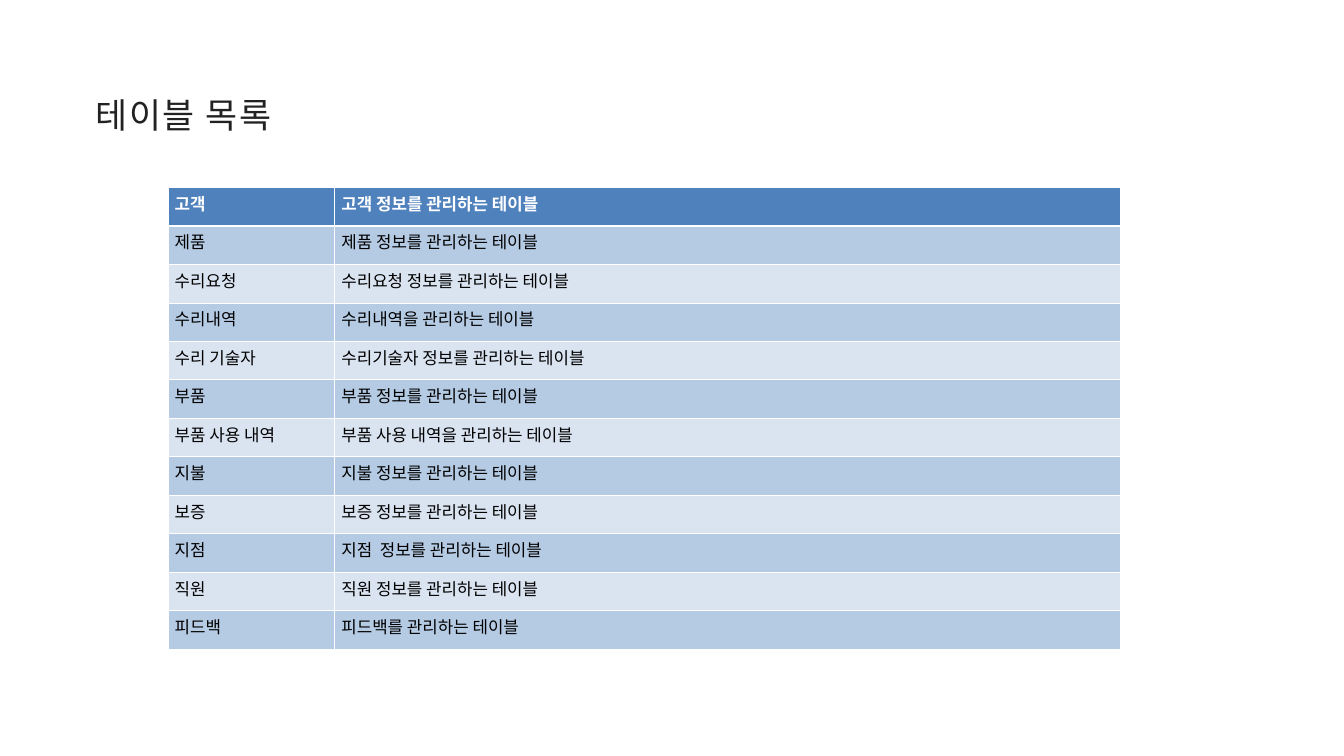
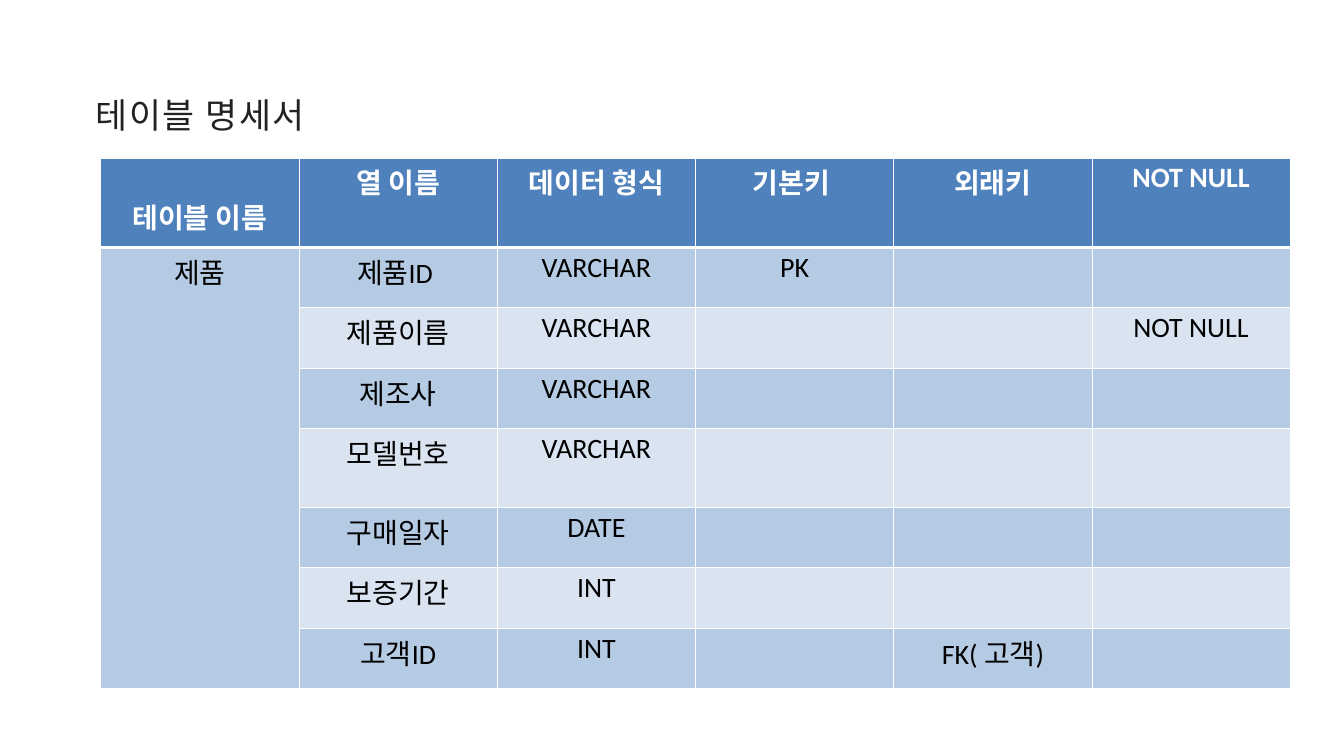
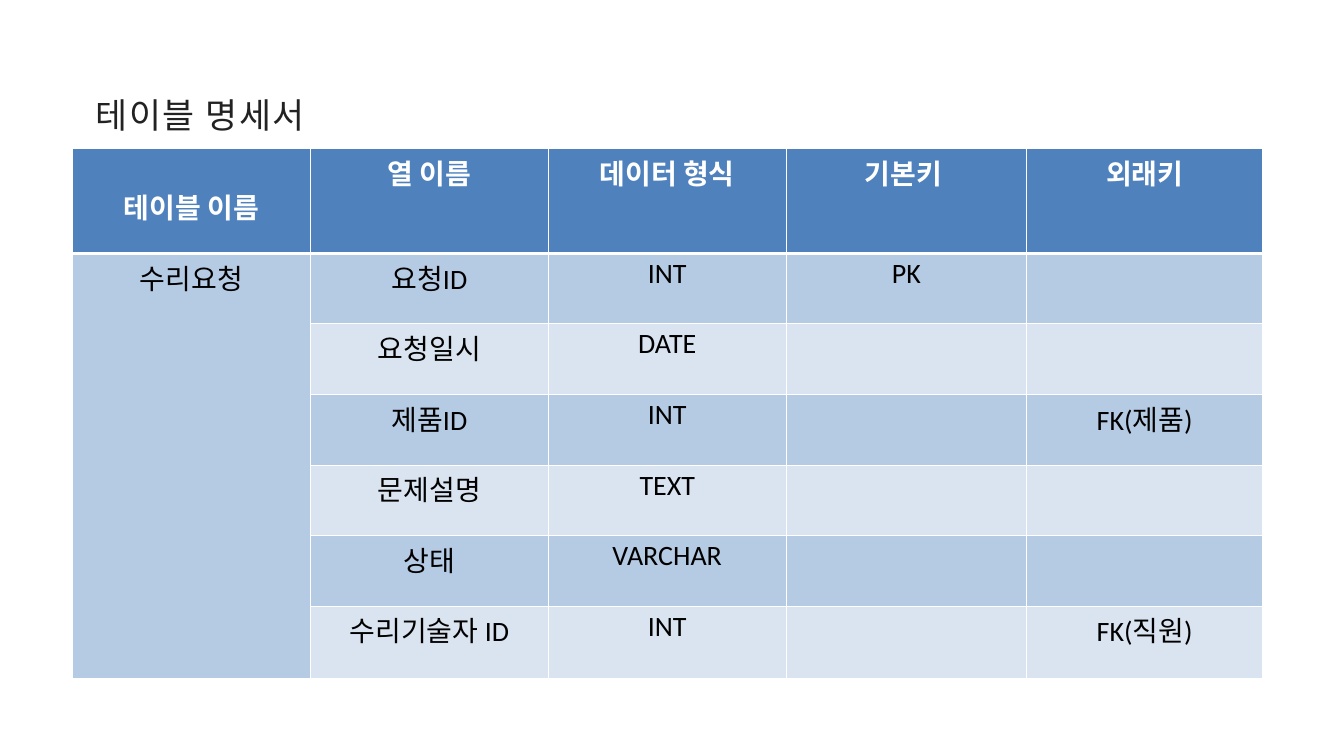
"""Build three slides that list and specify the tables of a repair-service database."""
from lxml import etree
from pptx import Presentation
from pptx import util as u
from pptx.dml.color import RGBColor
from pptx.enum import text
from pptx.oxml import ns

WHITE = RGBColor(0xFF, 0xFF, 0xFF)
BLACK = RGBColor(0x00, 0x00, 0x00)
TITLE_GREY = RGBColor(0x22, 0x22, 0x22)
HEADER_BLUE = RGBColor(0x4F, 0x81, 0xBD)
BANDS = (RGBColor(0xDA, 0xE4, 0xF1), RGBColor(0xB5, 0xCA, 0xE3))

TITLE_FORMAT = {"name": "Noto Sans CJK KR", "size": u.Pt(37.3)}
HEADER_FORMAT = {"name": "Calibri", "bold": True}
BODY_FORMAT = {"name": "Calibri", "bold": False}
LIST_SIZE, SPEC_SIZE = u.Pt(18), u.Pt(30)
THIN, THICK = u.Pt(1), u.Pt(3)
TABLE_NAME_TOP = u.Inches(0.56)

TABLE_LIST = [
    ("고객", "고객 정보를 관리하는 테이블"),
    ("제품", "제품 정보를 관리하는 테이블"),
    ("수리요청", "수리요청 정보를 관리하는 테이블"),
    ("수리내역", "수리내역을 관리하는 테이블"),
    ("수리 기술자", "수리기술자 정보를 관리하는 테이블"),
    ("부품", "부품 정보를 관리하는 테이블"),
    ("부품 사용 내역", "부품 사용 내역을 관리하는 테이블"),
    ("지불", "지불 정보를 관리하는 테이블"),
    ("보증", "보증 정보를 관리하는 테이블"),
    ("지점", "지점  정보를 관리하는 테이블"),
    ("직원", "직원 정보를 관리하는 테이블"),
    ("피드백", "피드백를 관리하는 테이블"),
]
SPEC_HEADER = ("테이블 이름", "열 이름", "데이터 형식", "기본키 ", "외래키")
PRODUCT_SPEC = [
    SPEC_HEADER + ("NOT NULL",),
    ("제품", "제품ID ", "VARCHAR", "PK", "", ""),
    ("", "제품이름", "VARCHAR", "", "", "NOT NULL"),
    ("", "제조사", "VARCHAR", "", "", ""),
    ("", "모델번호", "VARCHAR", "", "", ""),
    ("", "구매일자", "DATE", "", "", ""),
    ("", "보증기간", "INT", "", "", ""),
    ("", "고객ID", "INT", "", "FK( 고객)", ""),
]
REQUEST_SPEC = [
    SPEC_HEADER,
    ("수리요청", "요청ID", "INT", "PK", ""),
    ("", "요청일시", "DATE", "", ""),
    ("", "제품ID", "INT", "", "FK(제품)"),
    ("", "문제설명", "TEXT", "", ""),
    ("", "상태", "VARCHAR", "", ""),
    ("", "수리기술자 ID", "INT", "", "FK(직원)"),
]


def format_font(font, color, values):
    """Apply a colour and a dict of values to a font."""
    font.color.rgb = color
    for name, value in values.items():
        setattr(font, name, value)


def add_titled_slide(presentation, title):
    """Add a blank slide with the shared title style."""
    slide = presentation.slides.add_slide(presentation.slide_layouts[6])
    box = slide.shapes.add_textbox(
        u.Inches(1.42), u.Inches(1.29), u.Inches(4.25), u.Inches(0.72))
    frame = box.text_frame
    frame.word_wrap = True
    frame.auto_size = text.MSO_AUTO_SIZE.SHAPE_TO_FIT_TEXT
    for side in ("left", "top", "right", "bottom"):
        setattr(frame, f"margin_{side}", 0)
    paragraph = frame.paragraphs[0]
    paragraph.alignment = text.PP_ALIGN.JUSTIFY
    paragraph.line_spacing = u.Pt(51.9)
    run = paragraph.add_run()
    run.text = title
    format_font(run.font, TITLE_GREY, TITLE_FORMAT)
    run.font._element.set("spc", "170")
    return slide


def set_borders(cell, top, bottom):
    """Draw white borders around a cell."""
    properties = cell._tc.get_or_add_tcPr()
    for side, width in (("L", THIN), ("R", THIN), ("T", top), ("B", bottom)):
        line = etree.SubElement(properties, ns.qn(f"a:ln{side}"), w=str(width))
        fill = etree.SubElement(line, ns.qn("a:solidFill"))
        etree.SubElement(fill, ns.qn("a:srgbClr"), val=str(WHITE))


def fill_cell(cell, content, row_index, size, alignment):
    """Style one cell as header or banded body and write its text."""
    is_header = row_index == 0
    set_borders(cell, THICK if row_index == 1 else THIN, THICK if is_header else THIN)
    cell.fill.solid()
    cell.fill.fore_color.rgb = HEADER_BLUE if is_header else BANDS[row_index % 2]
    paragraph = cell.text_frame.paragraphs[0]
    paragraph.alignment = alignment
    if content:
        run = paragraph.add_run()
        run.text = content
        values = HEADER_FORMAT if is_header else BODY_FORMAT
        format_font(run.font, WHITE if is_header else BLACK, {**values, "size": size})


def add_banded_table(slide, left, top, widths, heights, rows, size, alignment=None):
    """Add a table with a blue header row and alternating body bands."""
    table = slide.shapes.add_table(
        len(rows), len(widths), u.Inches(left), u.Inches(top),
        u.Inches(sum(widths)), u.Inches(sum(heights))).table
    for column, width in zip(table.columns, widths):
        column.width = u.Inches(width)
    for row_index, (row, height) in enumerate(zip(rows, heights)):
        table.rows[row_index].height = u.Inches(height)
        for column_index, content in enumerate(row):
            fill_cell(table.cell(row_index, column_index), content, row_index, size, alignment)
    return table


def add_specification(presentation, left, top, widths, heights, rows):
    """Add a slide that specifies the columns of one database table."""
    slide = add_titled_slide(presentation, "테이블 명세서")
    table = add_banded_table(
        slide, left, top, widths, heights, rows, SPEC_SIZE, text.PP_ALIGN.CENTER)
    table.cell(0, 0).margin_top = TABLE_NAME_TOP
    table.cell(1, 0).merge(table.cell(len(rows) - 1, 0))


def main():
    """Build and save the presentation."""
    presentation = Presentation()
    presentation.slide_width = u.Inches(20)
    presentation.slide_height = u.Inches(11.25)

    slide = add_titled_slide(presentation, "테이블 목록")
    add_banded_table(slide, 2.5, 2.79, [2.48, 11.69],
                     [6.87 / len(TABLE_LIST)] * len(TABLE_LIST), TABLE_LIST, LIST_SIZE)
    add_specification(presentation, 1.5, 2.35, [2.95] * 6,
                      [1.33] + [0.9] * 3 + [1.17] + [0.9] * 3, PRODUCT_SPEC)
    add_specification(presentation, 1.08, 2.21, [3.54] * 3 + [3.58, 3.51],
                      [1.56] + [1.05] * 5 + [1.08], REQUEST_SPEC)
    presentation.save("out.pptx")


if __name__ == "__main__":
    main()
